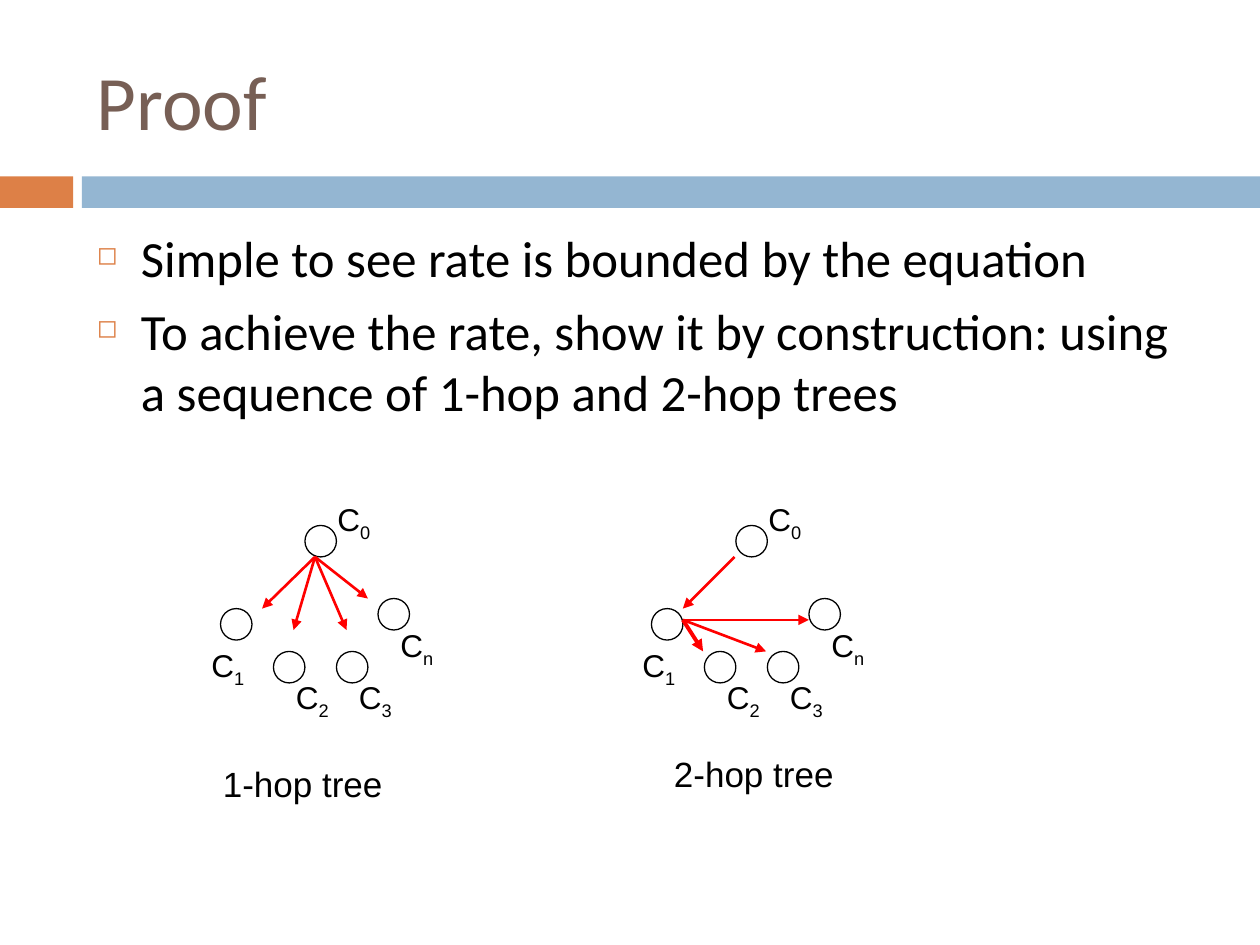
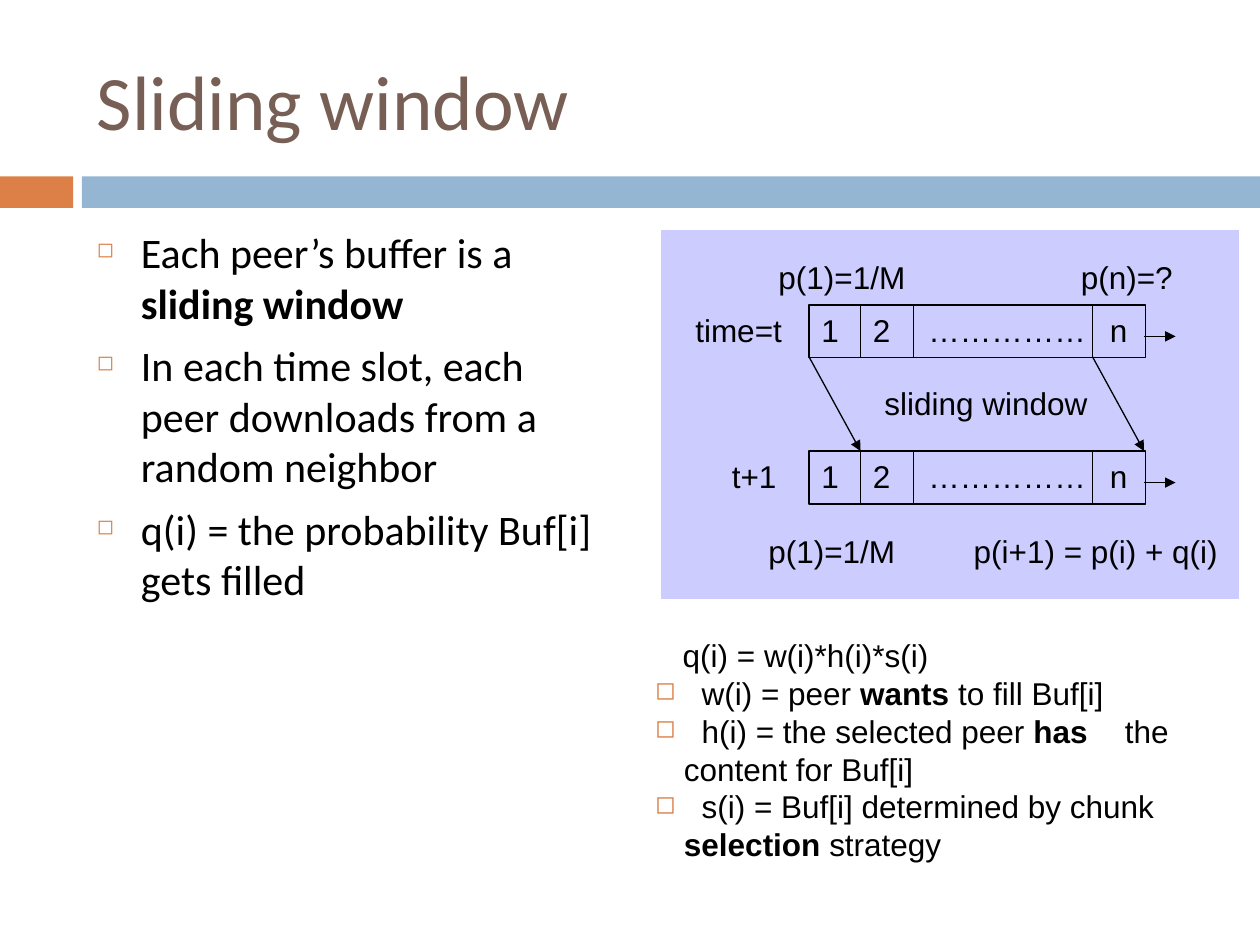
from dataclasses import dataclass

from lxml.etree import SubElement
from pptx import Presentation
from pptx.dml.color import RGBColor
from pptx.enum.shapes import MSO_CONNECTOR as Link, MSO_SHAPE as Shape
from pptx.enum.text import MSO_ANCHOR as Anchor
from pptx.oxml.ns import qn
from pptx.util import Inches, Pt


@dataclass(frozen=True)
class Theme:
    ink: str = "000000"
    title: str = "775F55"
    accent: str = "DD8047"
    band: str = "94B6D2"
    panel: str = "CCCCFF"
    arrow: str = "FF0000"
    head: str = "Calibri"
    plain: str = "Arial"
    title_pt: float = 44
    body_pt: float = 29
    side_pt: float = 24
    tree_pt: float = 20
    label_pt: float = 18
    thin: float = 0.75
    mid: float = 1.5
    thick: float = 2.25


@dataclass(frozen=True)
class Run:
    text: str
    bold: bool = False
    sub: bool = False


@dataclass(frozen=True)
class Para:
    runs: tuple
    left: float = 0
    first: float = 0
    bullet: int = 0  # size in percent, 0 for none
    before: float = 0
    tabs: tuple = ()


@dataclass(frozen=True)
class Node:
    name: str
    ball: tuple
    label: tuple


@dataclass(frozen=True)
class Arrow:
    start: tuple
    end: tuple
    width: float


@dataclass(frozen=True)
class Label:
    text: str
    x: float
    y: float
    w: float


T = Theme()
TOP = 3.92
NODES = (
    Node("0", (0.84, 0.25), (1, 0)),
    Node("2", (0.59, 1.25), (0.67, 1.41)),
    Node("3", (1.09, 1.25), (1.17, 1.41)),
    Node("n", (1.42, 0.83), (1.5, 1)),
    Node("1", (0.17, 0.91), (0, 1.16)),
)
ONE_HOP = tuple(Arrow((0.92, 0.5), end, T.mid) for end in
                ((0.5, 0.91), (0.75, 1.08), (1.17, 1.08), (1.34, 0.83)))
TWO_HOP = (
    Arrow((0.83, 0.5), (0.42, 0.91), T.mid),
    Arrow((0.42, 1), (0.58, 1.25), T.thick),
    Arrow((0.42, 1), (1.08, 1.25), T.mid),
    Arrow((0.42, 1), (1.42, 1), T.mid),
)
CELLS = (
    Label("1", 6.42, 0, 0.41),
    Label("2", 6.83, 0, 0.42),
    Label("……………", 7.27, 0, 1.5),
    Label("n", 8.71, 0, 0.38),
)
LABELS = (
    Label("p(1)=1/M", 6.08, 2, 1.4),
    Label("p(n)=?", 8.48, 2, 1),
    Label("time=t", 5.42, 2.42, 1),
    Label("t+1", 5.71, 3.58, 0.7),
    Label("p(1)=1/M", 6, 4.17, 1.4),
    Label("p(i+1) = p(i) + q(i)", 7.63, 4.17, 2.3),
    Label("sliding window", 6.92, 3, 2.25),
)


def color(code: str) -> RGBColor:
    return RGBColor.from_string(code)


def layout(para, spec: Para) -> None:
    """Set indents, bullet and tab stops of a paragraph."""
    props = para._p.get_or_add_pPr()
    props.set("marL", str(Inches(spec.left)))
    props.set("indent", str(Inches(spec.first)))
    if spec.bullet:
        tint = SubElement(props, qn("a:buClr"))
        SubElement(tint, qn("a:srgbClr"), val=T.accent)
        SubElement(props, qn("a:buSzPct"), val=str(spec.bullet * 1000))
        SubElement(props, qn("a:buChar"), char="◻")
    else:
        SubElement(props, qn("a:buNone"))
    if spec.tabs:
        stops = SubElement(props, qn("a:tabLst"))
        for stop in spec.tabs:
            SubElement(stops, qn("a:tab"), pos=str(Inches(stop)), algn="l")


def write(shapes, text, x: float, y: float, w: float, h: float = 0.4, *,
          size: float = T.label_pt, font: str = T.plain, ink: str = T.ink,
          anchor=Anchor.TOP) -> None:
    """Add a text box from a string or from a list of Para."""
    frame = shapes.add_textbox(Inches(x), Inches(y), Inches(w), Inches(h)).text_frame
    frame.word_wrap = True
    frame.vertical_anchor = anchor
    if isinstance(text, str):
        text = [Para((Run(text),))]
    for i, spec in enumerate(text):
        para = frame.add_paragraph() if i else frame.paragraphs[0]
        layout(para, spec)
        if i:
            para.space_before = Pt(spec.before)
        for part in spec.runs:
            run = para.add_run()
            run.text = part.text
            run.font.name, run.font.size = font, Pt(size)
            run.font.bold = part.bold
            run.font.color.rgb = color(ink)
            if part.sub:
                run.font._element.set("baseline", "-25000")


def draw(shapes, kind, x: float, y: float, w: float, h: float, *,
         fill: str = "", line: str = "") -> None:
    shape = shapes.add_shape(kind, Inches(x), Inches(y), Inches(w), Inches(h))
    shape.shadow.inherit = False
    if fill:
        shape.fill.solid()
        shape.fill.fore_color.rgb = color(fill)
    else:
        shape.fill.background()
    if line:
        shape.line.color.rgb = color(line)
        shape.line.width = Pt(T.thin)
    else:
        shape.line.fill.background()


def link(shapes, start: tuple, end: tuple, *, ink: str = T.ink,
         width: float = T.thin, head: bool = True) -> None:
    line = shapes.add_connector(Link.STRAIGHT, *map(Inches, start + end))
    line.line.color.rgb = color(ink)
    line.line.width = Pt(width)
    if head:
        SubElement(line.line._get_or_add_ln(), qn("a:tailEnd"), type="triangle")
    SubElement(line._element.spPr, qn("a:effectLst"))


def start_slide(deck, title: str):
    """Add a slide with its bands and title; return its shapes."""
    shapes = deck.slides.add_slide(deck.slide_layouts[6]).shapes
    draw(shapes, Shape.RECTANGLE, 0, 1.4, 0.58, 0.25, fill=T.accent)
    draw(shapes, Shape.RECTANGLE, 0.65, 1.4, 9.35, 0.25, fill=T.band)
    write(shapes, title, 0.67, 0.25, 8.92, 1.08, size=T.title_pt,
          font=T.head, ink=T.title, anchor=Anchor.MIDDLE)
    return shapes


def point(*runs: Run) -> Para:
    return Para(runs, left=0.35, first=-0.35, bullet=50, before=7)


def term(*runs: Run) -> Para:
    return Para((Run("\t"),) + runs, left=0.5, first=-0.23, bullet=80,
                tabs=(0.64, 4))


def tree(shapes, left: float, arrows: tuple) -> None:
    group = shapes.add_group_shape().shapes

    def place(spot: tuple) -> tuple:
        return left + spot[0], TOP + spot[1]

    for node in NODES:
        draw(group, Shape.OVAL, *place(node.ball), 0.25, 0.25, line=T.ink)
    for node in NODES:
        name = Para((Run("C"), Run(node.name, sub=True)))
        write(group, [name], *place(node.label), 0.58, 0.44)
    for arrow in arrows:
        link(group, place(arrow.start), place(arrow.end), ink=T.arrow,
             width=arrow.width)


def buffer(shapes, top: float) -> None:
    """Draw one row of buffer cells and its exit arrow."""
    group = shapes.add_group_shape().shapes
    draw(group, Shape.RECTANGLE, 6.42, top, 2.67, 0.42, line=T.ink)
    for x in (6.83, 7.25, 8.67):
        link(group, (x, top), (x, top + 0.42), head=False)
    for cell in CELLS:
        write(group, cell.text, cell.x, top + cell.y, cell.w)
    link(group, (9.08, top + 0.25), (9.33, top + 0.25))


def proof(deck) -> None:
    shapes = start_slide(deck, "Proof")
    write(shapes, [
        point(Run("Simple to see rate is bounded by the equation")),
        point(Run("To achieve the rate, show it by construction: using "
                  "a sequence of 1-hop and 2-hop trees")),
    ], 0.67, 1.75, 8.92, 2.25, size=T.body_pt, font=T.head)
    tree(shapes, 1.58, ONE_HOP)
    tree(shapes, 5, TWO_HOP)
    write(shapes, "1-hop tree", 1.67, 6, 1.75, 0.44, size=T.tree_pt)
    write(shapes, "2-hop tree", 5.25, 5.92, 1.75, 0.44, size=T.tree_pt)


def window(deck) -> None:
    shapes = start_slide(deck, "Sliding window")
    draw(shapes, Shape.RECTANGLE, 5.25, 1.83, 4.58, 2.92, fill=T.panel,
         line=T.panel)
    write(shapes, [
        point(Run("Each peer’s buffer is a "), Run("sliding window", bold=True)),
        point(Run("In each time slot, each peer downloads from a random neighbor")),
        point(Run("q(i) = the probability Buf[i] gets filled")),
    ], 0.67, 1.75, 4.25, 4.95, size=T.side_pt, font=T.head)

    for top in (2.42, 3.58):
        buffer(shapes, top)
    for x, end in ((6.42, 6.83), (8.67, 9.08)):
        link(shapes, (x, 2.83), (end, 3.58))
    for label in LABELS:
        write(shapes, label.text, label.x, label.y, label.w)

    write(shapes, [
        Para((Run("q(i) = w(i)*h(i)*s(i)"),), left=0.49),
        term(Run("w(i) = peer "), Run("wants", bold=True),
             Run(" to fill Buf[i]")),
        term(Run("h(i) = the selected peer "), Run("has\t", bold=True),
             Run("the content for Buf[i]")),
        term(Run("s(i) = Buf[i] determined by chunk "),
             Run("selection", bold=True), Run(" strategy")),
    ], 4.83, 5, 4.75, 1.9)


def main() -> None:
    deck = Presentation()
    deck.slide_width, deck.slide_height = Inches(10), Inches(7.5)
    proof(deck)
    window(deck)
    deck.save("out.pptx")


if __name__ == "__main__":
    main()
